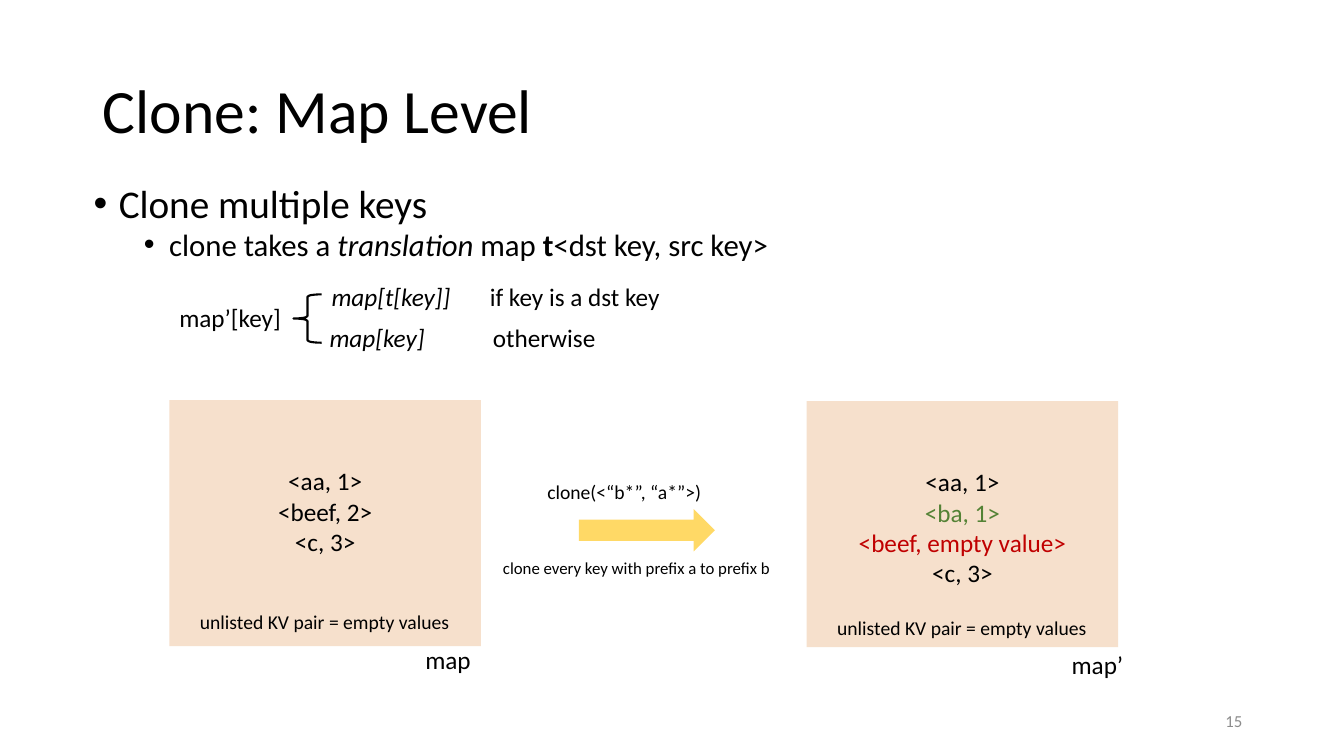
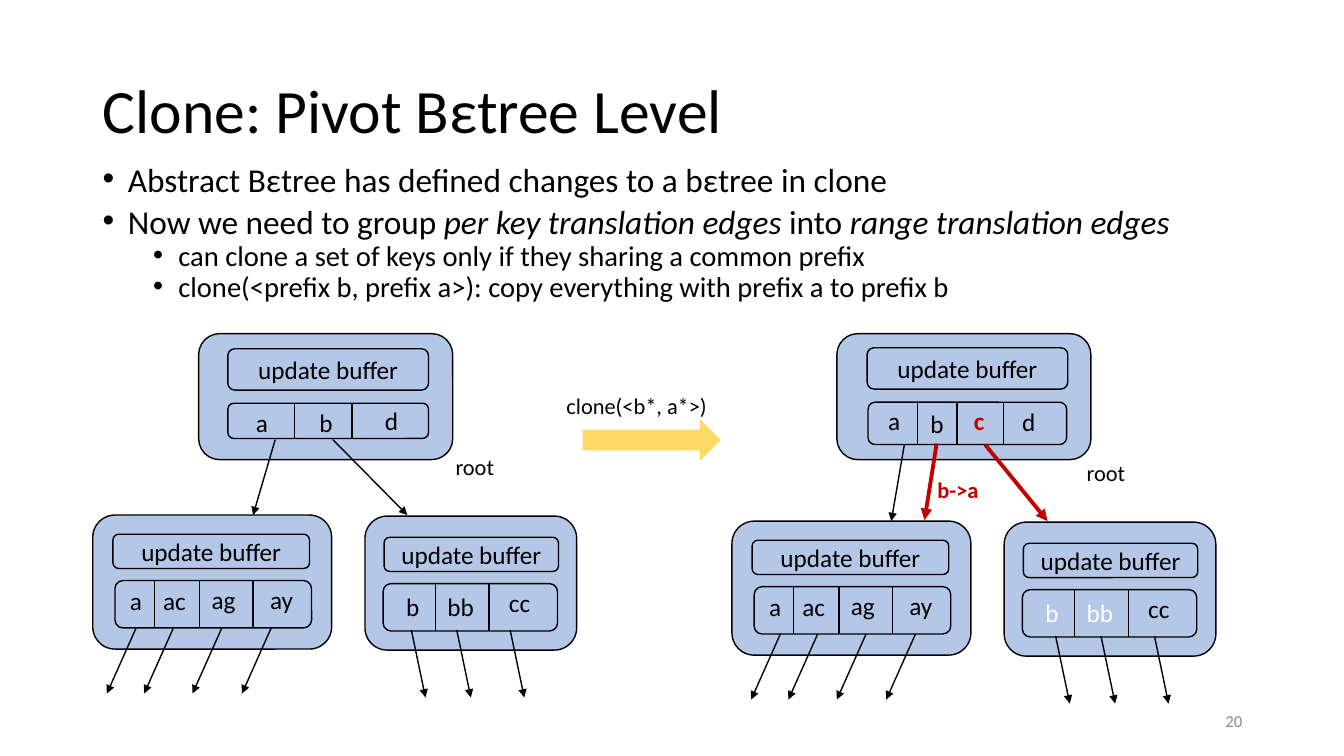
"""Build two slides on cloning keys at the map level and the pivot tree level."""
from collections import namedtuple

from lxml import etree
from pptx import Presentation
from pptx.dml.color import RGBColor
from pptx.enum.shapes import MSO_CONNECTOR, MSO_SHAPE
from pptx.enum.text import MSO_ANCHOR, PP_ALIGN
from pptx.oxml.ns import qn
from pptx.util import Inches, Pt

RECT = MSO_SHAPE.RECTANGLE
ROUNDED = MSO_SHAPE.ROUNDED_RECTANGLE
RIGHT_ARROW = MSO_SHAPE.RIGHT_ARROW
LEFT_BRACE = MSO_SHAPE.LEFT_BRACE
STRAIGHT = MSO_CONNECTOR.STRAIGHT
TOP, MIDDLE = MSO_ANCHOR.TOP, MSO_ANCHOR.MIDDLE
LEFT, CENTER, RIGHT = PP_ALIGN.LEFT, PP_ALIGN.CENTER, PP_ALIGN.RIGHT

FONT = "Calibri"
COLORS = {
    "ink": "000000",
    "white": "FFFFFF",
    "muted": "8C8C8C",
    "changed": "C00000",
    "added": "548235",
    "map": "F6E0CC",
    "node": "B4C7E7",
    "arrow": "FFD966",
}

Run = namedtuple("Run", "text color bold italic", defaults=("ink", False, False))
Node = namedtuple("Node", "frame buffer row keys dividers")
Key = namedtuple("Key", "text x y color bold", defaults=("ink", False))

ROOT_BEFORE = Node(
    (1.97, 3.31, 2.52, 1.25), (2.26, 3.46, 1.99, 0.41), (2.26, 4, 1.99, 0.35),
    [Key("a", 2.44, 3.99), Key("b", 3.07, 3.99), Key("d", 3.72, 3.97)],
    [2.92, 3.49],
)
ROOT_AFTER = Node(
    (8.3, 3.31, 2.52, 1.25), (8.6, 3.45, 1.99, 0.41), (8.61, 3.99, 1.97, 0.42),
    [Key("a", 8.71, 3.97), Key("b", 9.13, 4),
     Key("c", 9.56, 3.97, "changed", True), Key("d", 10.04, 3.98)],
    [9.1, 9.49, 9.95],
)
LEFT_CHILD = Node(
    (0.92, 5.11, 2.37, 1.33), (1.12, 5.3, 1.95, 0.34), (1.14, 5.76, 1.95, 0.47),
    [Key("a", 1.19, 5.76), Key("ac", 1.52, 5.76), Key("ag", 2, 5.75), Key("ay", 2.58, 5.75)],
    [1.53, 1.98, 2.51],
)
RIGHT_CHILD = Node(
    (3.62, 5.12, 2.1, 1.33), (3.81, 5.33, 1.73, 0.34), (3.8, 5.79, 1.73, 0.47),
    [Key("b", 3.93, 5.82), Key("bb", 4.34, 5.82), Key("cc", 4.95, 5.78)],
    [4.32, 4.85],
)


def rgb(name):
    """Return the palette colour with this name."""
    return RGBColor.from_string(COLORS[name])


def add_runs(paragraph, runs, size):
    """Append styled runs to a paragraph."""
    for part in runs:
        run = paragraph.add_run()
        run.text = part.text
        run.font.name = FONT
        run.font.size = Pt(size)
        run.font.bold = part.bold
        run.font.italic = part.italic
        run.font.color.rgb = rgb(part.color)


def add_text(slide, box, paragraphs, size, align=LEFT, anchor=TOP, spacing=1.0):
    """Add a text box holding a list of paragraphs, each a list of runs."""
    frame = slide.shapes.add_textbox(*map(Inches, box)).text_frame
    frame.word_wrap = True
    frame.vertical_anchor = anchor
    for index, runs in enumerate(paragraphs):
        paragraph = frame.add_paragraph() if index else frame.paragraphs[0]
        paragraph.alignment = align
        paragraph.line_spacing = spacing
        add_runs(paragraph, runs, size)
    return frame


def add_label(slide, box, text, size=18, align=LEFT, color="ink", bold=False):
    """Add a single-run label."""
    add_text(slide, box, [[Run(text, color, bold)]], size, align)


def add_bullets(slide, box, items, sizes, spacing):
    """Add bulleted paragraphs given as (level, runs) pairs."""
    frame = add_text(slide, box, [[] for _ in items], sizes[0], spacing=spacing)
    for index, (paragraph, (level, runs)) in enumerate(zip(frame.paragraphs, items)):
        paragraph.level = level
        paragraph.space_before = Pt((10, 5)[level] if index else 0)
        properties = paragraph._p.get_or_add_pPr()
        properties.set("marL", str(Inches(0.25 + 0.5 * level)))
        properties.set("indent", str(Inches(-0.25)))
        etree.SubElement(properties, qn("a:buFont")).set("typeface", "Arial")
        etree.SubElement(properties, qn("a:buChar")).set("char", "•")
        add_runs(paragraph, runs, sizes[level])


def add_case(slide, box, value, condition, tab):
    """Add one case of the definition, its condition set at a tab stop."""
    frame = add_text(slide, box, [[]], 18)
    paragraph = frame.paragraphs[0]
    tabs = etree.SubElement(paragraph._p.get_or_add_pPr(), qn("a:tabLst"))
    stop = etree.SubElement(tabs, qn("a:tab"))
    stop.set("pos", str(Inches(tab)))
    stop.set("algn", "l")
    add_runs(paragraph, [Run(value + "\t", italic=True), Run(condition)], 18)


def add_block(slide, kind, box, fill=None, line_width=None):
    """Add a flat preset shape."""
    block = slide.shapes.add_shape(kind, *map(Inches, box))
    block.shadow.inherit = False
    if fill:
        block.fill.solid()
        block.fill.fore_color.rgb = rgb(fill)
    else:
        block.fill.background()
    if line_width:
        block.line.color.rgb = rgb("ink")
        block.line.width = Pt(line_width)
    else:
        block.line.fill.background()
    return block


def add_line(slide, start, end, color="ink", width=1, arrow=False):
    """Add a straight line, optionally with an arrowhead at its end."""
    line = slide.shapes.add_connector(STRAIGHT, *map(Inches, (*start, *end)))
    line.line.color.rgb = rgb(color)
    line.line.width = Pt(width)
    if arrow:
        etree.SubElement(line.line._get_or_add_ln(), qn("a:tailEnd")).set("type", "triangle")
    etree.SubElement(line._element.spPr, qn("a:effectLst"))


def add_node(slide, node, dx=0, dy=0, recolored=()):
    """Add a tree node with its update buffer and its row of keys."""
    def moved(box):
        """Shift a box by the node's offset."""
        return (box[0] + dx, box[1] + dy, *box[2:])

    for box in (node.frame, node.row):
        add_block(slide, ROUNDED, moved(box), "node", 1)
    buffer = add_block(slide, ROUNDED, moved(node.buffer), "node", 1).text_frame
    buffer.vertical_anchor = MIDDLE
    buffer.paragraphs[0].alignment = CENTER
    add_runs(buffer.paragraphs[0], [Run("update buffer")], 18)
    top, height = node.row[1] + dy, node.row[3]
    for x in node.dividers:
        add_line(slide, (x + dx, top), (x + dx, top + height))
    for key in node.keys:
        color = "white" if key.text in recolored else key.color
        add_label(slide, moved((key.x, key.y, 0.6, 0.4)), key.text, color=color, bold=key.bold)


def add_children(slide, dx=0, dy=0, pointer_dx=0, recolored=()):
    """Add both child nodes and the pointers that leave them."""
    add_node(slide, LEFT_CHILD, dx, dy)
    add_node(slide, RIGHT_CHILD, dx, dy, recolored)
    for xs, y, run, rise in (((1.35, 1.72, 2.2, 2.69), 6.23, -0.29, 0.65),
                             ((4.08, 4.53, 5.06), 6.25, 0.14, 0.67)):
        for x in xs:
            start = (x + pointer_dx, y + dy)
            add_line(slide, start, (start[0] + run, start[1] + rise), arrow=True)


def add_page(deck, title, number):
    """Add a slide with its title and page number."""
    slide = deck.slides.add_slide(deck.slide_layouts[6])
    add_text(slide, (0.92, 0.4, 11.5, 1.45), [[Run(title)]], 44, anchor=MIDDLE, spacing=0.9)
    add_text(slide, (9.42, 6.95, 3, 0.4), [[Run(number, "muted")]], 12, RIGHT, MIDDLE)
    return slide


def add_map(slide, x, y, pairs, note_y):
    """Add a map panel with its key-value pairs and footnote."""
    add_block(slide, RECT, (x, y, 3.09, 2.44), "map")
    add_text(slide, (x, y + 0.6, 3.09, 1.31), [[pair] for pair in pairs], 18, CENTER)
    add_label(slide, (x, note_y, 3.08, 0.34), "unlisted KV pair = empty values", 14, CENTER)


def build_map_level(deck):
    """Build the map level slide."""
    slide = add_page(deck, "Clone: Map Level", "15")
    add_bullets(slide, (0.83, 1.82, 10.74, 0.86), [
        (0, [Run("Clone multiple keys")]),
        (1, [Run("clone takes a "), Run("translation", italic=True), Run(" map "),
             Run("t", bold=True), Run("<dst key, src key>")]),
    ], (28, 22), 0.8)

    add_label(slide, (1.68, 2.95, 1.3, 0.4), "map’[key]")
    add_block(slide, LEFT_BRACE, (2.91, 2.92, 0.28, 0.48), line_width=1.5)
    add_case(slide, (3.19, 2.74, 3.57, 0.4), "map[t[key]]", "if key is a dst key", 1.57)
    add_case(slide, (3.17, 3.15, 5.57, 0.4), "map[key]", "otherwise", 1.62)

    add_map(slide, 1.68, 3.97, [Run("<aa, 1>"), Run("<beef, 2>"), Run("<c, 3>")], 6)
    add_map(slide, 8, 3.98, [
        Run("<aa, 1>"), Run("<ba, 1>", "added"),
        Run("<beef, empty value>", "changed"), Run("<c, 3>"),
    ], 6.06)
    add_label(slide, (4.12, 6.34, 0.8, 0.4), "map")
    add_label(slide, (10.53, 6.39, 0.8, 0.4), "map’")

    add_label(slide, (5.33, 4.71, 2, 0.34), "clone(<“b*”, “a*”>)", 14)
    add_block(slide, RIGHT_ARROW, (5.74, 5.05, 1.35, 0.42), "arrow")
    add_label(slide, (4.89, 5.48, 3, 0.3), "clone every key with prefix a to prefix b", 12)


def build_tree_level(deck):
    """Build the pivot tree level slide."""
    slide = add_page(deck, "Clone: Pivot Bεtree Level", "20")
    add_bullets(slide, (0.92, 1.64, 11.25, 1.49), [
        (0, [Run("Abstract Bεtree has defined changes to a bεtree in clone")]),
        (0, [Run("Now we need to group "), Run("per key translation edges ", italic=True),
             Run("into "), Run("range translation edges", italic=True)]),
        (1, [Run("can clone a set of keys only if they sharing a common prefix")]),
        (1, [Run("clone(<prefix b, prefix a>): copy everything with prefix a to prefix b")]),
    ], (23.8, 20.4), 0.7)

    add_node(slide, ROOT_BEFORE)
    add_children(slide)
    add_line(slide, (2.73, 4.36), (2.51, 5.11), arrow=True)
    add_line(slide, (3.3, 4.36), (4.04, 5.11), arrow=True)
    add_label(slide, (4.42, 4.45, 0.7, 0.37), "root", 16)

    add_label(slide, (5.52, 3.84, 2.21, 0.37), "clone(<b*, a*>)", 16)
    add_block(slide, RIGHT_ARROW, (5.78, 4.16, 1.37, 0.41), "arrow")

    add_node(slide, ROOT_AFTER)
    add_children(slide, 6.34, 0.06, 6.39, ("b", "bb"))
    add_line(slide, (8.97, 4.41), (8.84, 5.17), arrow=True)
    add_line(slide, (9.29, 4.4), (9.17, 5.16), "changed", 2.75, True)
    add_line(slide, (9.77, 4.41), (10.39, 5.17), "changed", 2.75, True)
    add_label(slide, (9.2, 4.67, 0.7, 0.37), "b->a", 16, color="changed", bold=True)
    add_label(slide, (10.68, 4.51, 0.7, 0.37), "root", 16)


def main():
    """Build and save the deck."""
    deck = Presentation()
    deck.slide_width, deck.slide_height = Inches(13.33), Inches(7.5)
    build_map_level(deck)
    build_tree_level(deck)
    deck.save("out.pptx")


if __name__ == "__main__":
    main()
